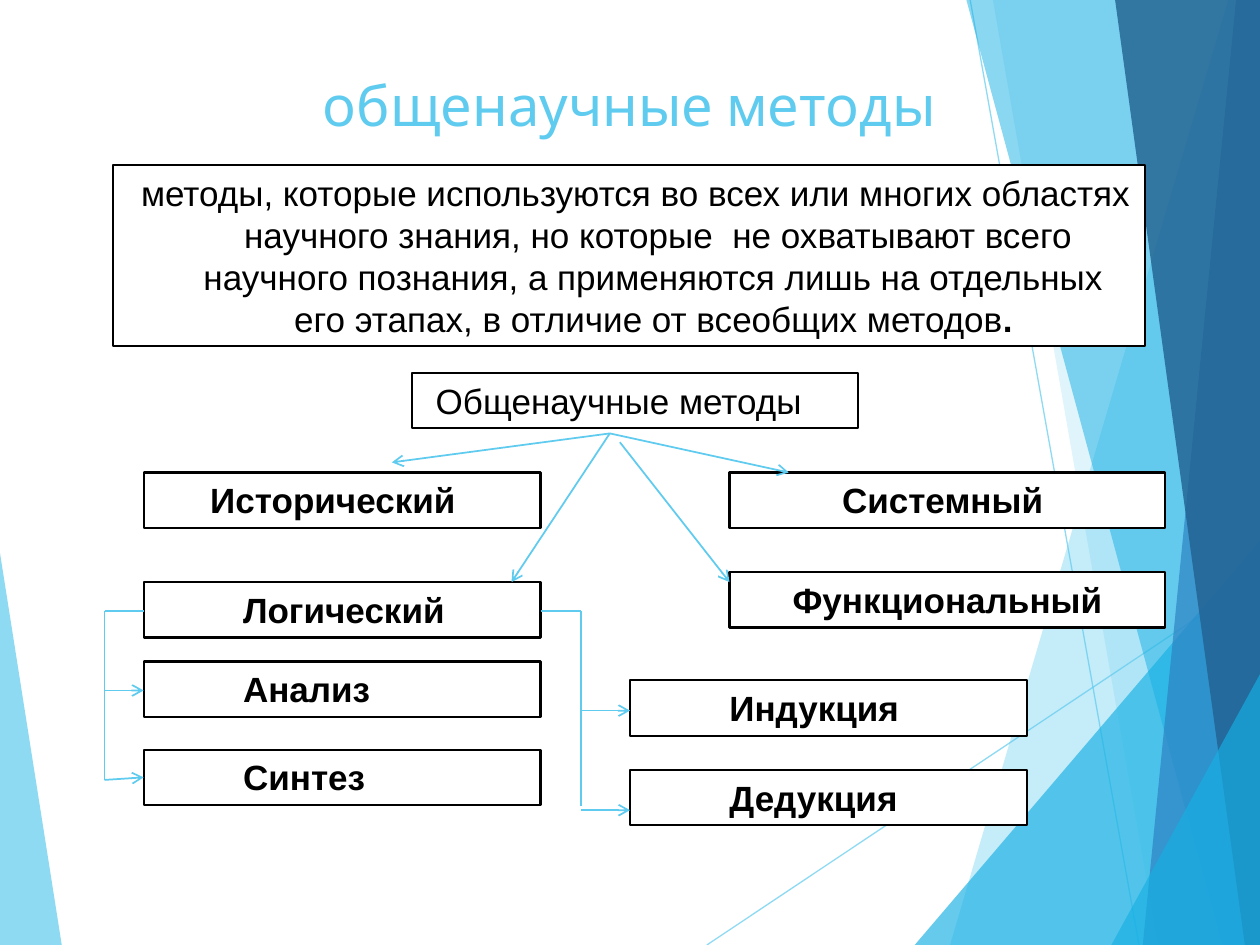
from pptx import Presentation
from pptx.dml.color import RGBColor
from pptx.enum.shapes import MSO_CONNECTOR, MSO_SHAPE
from pptx.enum.text import MSO_ANCHOR as ANCHOR, PP_ALIGN as ALIGN
from pptx.oxml.ns import qn
from pptx.util import Inches, Pt
from lxml.etree import SubElement

SKY = RGBColor(0x5F, 0xCB, 0xEF)
CYAN = RGBColor(0x17, 0xB0, 0xE4)
BLUE = RGBColor(0x2E, 0x83, 0xC3)
NAVY = RGBColor(0x23, 0x62, 0x92)
WHITE = RGBColor(0xFF, 0xFF, 0xFF)
BLACK = RGBColor(0, 0, 0)

W, H = 10, 7.5
BOX_H = 0.44
DEFINITION = (
    "методы, которые используются во всех или многих областях  научного знания, "
    "но которые  не охватывают всего научного познания, а применяются лишь на "
    "отдельных его этапах, в отличие от всеобщих методов"
)


def set_alpha(fill, percent):
    """Make a solid fill partly transparent."""
    color = fill._xPr.find(qn("a:solidFill"))[0]
    SubElement(color, qn("a:alpha")).set("val", str(percent * 1000))


def add_line(s, start, end, arrow=False, width=1, alpha=None):
    """Draw a straight sky-blue line, with an open arrowhead at its end if asked."""
    points = [Inches(v) for v in (*start, *end)]
    c = s.shapes.add_connector(MSO_CONNECTOR.STRAIGHT, *points)
    c.line.color.rgb = SKY
    c.line.width = Pt(width)
    if alpha:
        set_alpha(c.line.fill, alpha)
    if arrow:
        SubElement(c.line._get_or_add_ln(), qn("a:tailEnd")).set("type", "arrow")
    SubElement(c._element.spPr, qn("a:effectLst"))


def add_facet(s, points, color, alpha):
    """Draw one translucent polygon of the backdrop."""
    first, *rest = [(Inches(x), Inches(y)) for x, y in points]
    builder = s.shapes.build_freeform(*first)
    builder.add_line_segments(rest)
    sp = builder.convert_to_shape()
    sp.shadow.inherit = False
    sp.fill.solid()
    sp.fill.fore_color.rgb = color
    set_alpha(sp.fill, alpha)
    sp.line.fill.background()


def add_backdrop(s):
    """Draw the faceted blue backdrop along the slide edges."""
    add_facet(s, [(0, 4.39), (0.49, H), (0, H)], SKY, 70)
    add_line(s, (5.61, H), (W, 4.57), width=0.75, alpha=70)
    add_line(s, (7.7, 0), (9.04, H), width=0.75, alpha=70)
    bands = [
        (9.75, 7.54, SKY, 36),
        (7.88, 9.19, SKY, 20),
        (7.26, None, CYAN, 66),
        (7.67, 9.7, CYAN, 50),
        (9.81, 9.07, BLUE, 70),
        (8.85, 9.88, NAVY, 82),
    ]
    for top, bottom, color, alpha in bands:
        if bottom is None:
            add_facet(s, [(top, H), (W, 4.29), (W, H)], color, alpha)
        else:
            add_facet(s, [(top, 0), (bottom, H), (W, H), (W, 0)], color, alpha)
    add_facet(s, [(8.82, H), (W, 5.35), (W, H)], CYAN, 66)


def add_title(s, left, top, width, height, text):
    """Place the centred slide title."""
    sp = s.shapes.add_textbox(*map(Inches, (left, top, width, height)))
    tf = sp.text_frame
    tf.word_wrap = True
    tf.vertical_anchor = ANCHOR.MIDDLE
    p = tf.paragraphs[0]
    p.text = text
    p.alignment = ALIGN.CENTER
    p.font.name = "Cabin"
    p.font.size = Pt(32)
    p.font.color.rgb = SKY


def add_box(s, left, top, width, text, height=BOX_H, bold=True,
            align=ALIGN.LEFT, margin=0, indent=0):
    """Place an outlined white box and return its paragraph."""
    sp = s.shapes.add_shape(MSO_SHAPE.RECTANGLE, *map(Inches, (left, top, width, height)))
    sp.shadow.inherit = False
    sp.fill.solid()
    sp.fill.fore_color.rgb = WHITE
    sp.line.color.rgb = BLACK
    sp.line.width = Pt(1.25)
    tf = sp.text_frame
    tf.word_wrap = True
    tf.vertical_anchor = ANCHOR.TOP
    p = tf.paragraphs[0]
    p.alignment = align
    p.font.name = "Arial"
    p.font.size = Pt(20)
    p.font.bold = bold
    p.font.color.rgb = BLACK
    p.add_run().text = text
    pPr = p._p.get_or_add_pPr()
    pPr.set("marL", str(Inches(margin)))
    pPr.set("indent", str(Inches(indent)))
    return p


def add_definition(s, left, top, width, height):
    """Place the definition with its bold full stop."""
    p = add_box(s, left, top, width, DEFINITION, height, False, ALIGN.CENTER, 0.38, -0.28)
    r = p.add_run()
    r.text = "."
    r.font.bold = True


def add_methods(s, left, right, top):
    """Place the root box, the four methods and the arrows to them."""
    add_box(s, 3.27, top, 3.54, "Общенаучные методы", bold=False, margin=0.09)
    add_box(s, left, 3.75, 3.15, "Исторический", margin=0.43)
    add_box(s, left, 4.62, 3.15, "Логический", margin=0.69)
    for y, text in ((3.75, "Системный "), (4.54, "Функциональный")):
        add_box(s, right, y, 3.46, text, align=ALIGN.CENTER, margin=0.38, indent=-0.38)
    hub = (4.84, 3.44)
    for end in ((6.26, 3.75), (3.11, 3.67), (4.06, 4.62)):
        add_line(s, hub, end, arrow=True)
    add_line(s, (4.92, 3.51), (right, 4.62), arrow=True)


def add_branch(s, source_x, trunk_x, trunk_end, left, items):
    """Place sub-method boxes joined to the logical method by a trunk line."""
    add_line(s, (source_x, 4.85), (trunk_x, 4.85))
    add_line(s, (trunk_x, 4.85), (trunk_x, trunk_end))
    for text, top, start_y, end_y in items:
        add_box(s, left, top, 3.15, text, margin=0.69)
        add_line(s, (trunk_x, start_y), (left, end_y), arrow=True)


def main():
    """Build and save the slide."""
    prs = Presentation()
    prs.slide_width, prs.slide_height = Inches(W), Inches(H)
    s = prs.slides.add_slide(prs.slide_layouts[6])
    add_backdrop(s)
    add_title(s, 0.35, 0.5, 9.29, 0.65, "общенаучные методы")
    add_definition(s, 0.9, 1.31, 8.19, 1.44)
    add_methods(s, 1.14, 5.79, 2.96)
    add_branch(s, 1.14, 0.83, 6.19, 1.14,
               [("Анализ", 5.25, 5.48, 5.48), ("Синтез", 5.95, 6.19, 6.17)])
    add_branch(s, 4.29, 4.61, 6.4, 5,
               [("Индукция", 5.4, 5.64, 5.64), ("Дедукция", 6.11, 6.43, 6.43)])
    prs.save("out.pptx")


if __name__ == "__main__":
    main()
